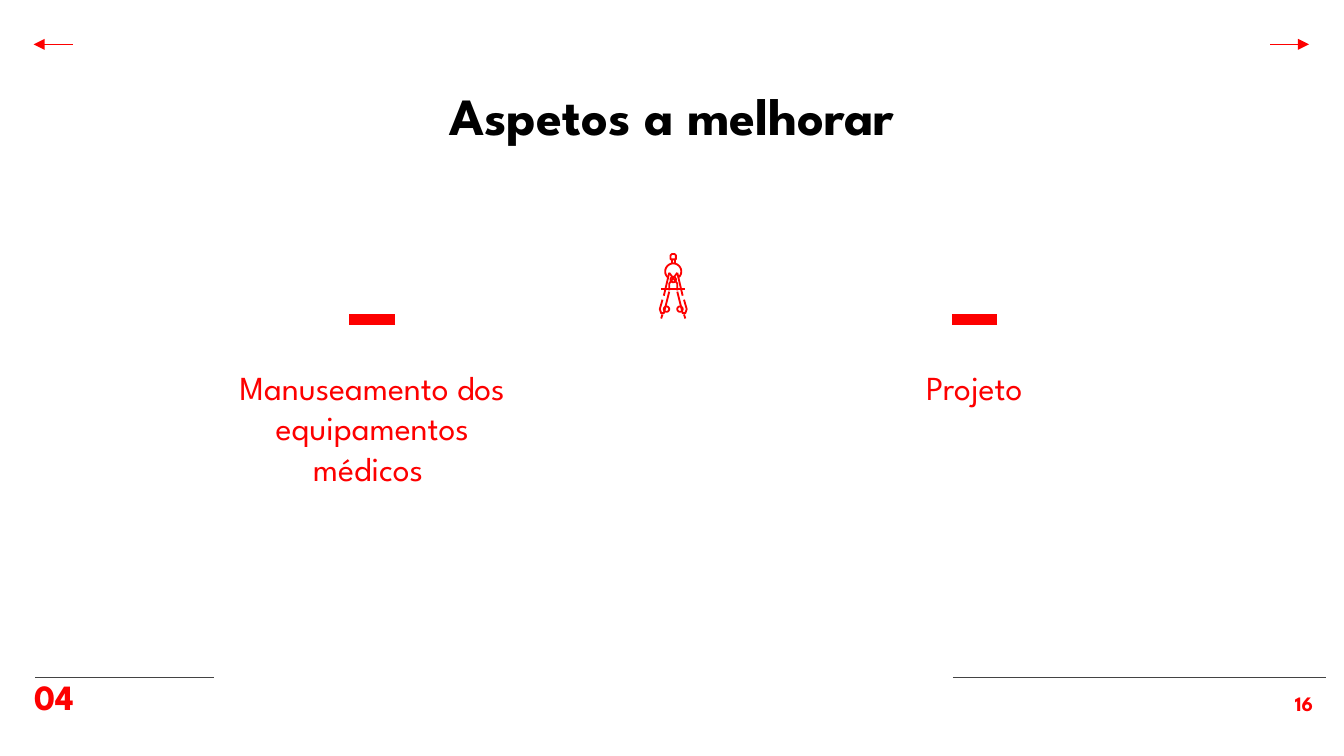
import math
import pptx
import pptx.util
import pptx.dml.color
import pptx.enum.shapes
import pptx.enum.text
import pptx.oxml
import pptx.oxml.ns
from pptx.util import Inches

RED, BLACK, GRAY = "FD0000", "000000", "434343"
FONT = "League Spartan"

TITLE = "Aspetos a melhorar"
TOPICS = [  # text, left, height
    ("Manuseamento dos equipamentos médicos ", 1.53, 1.29),
    ("Projeto", 6.01, 0.62),
]
TOPIC_TOP, TOPIC_WIDTH = 2.63, 2.48
DASH_Y, DASH_WIDTH = 2.38, 0.34
RULES = [(1.59, 0.26), (7.09, 9.87)]
RULE_Y = 5.04
ARROWS = [(9.45, 9.74), (0.54, 0.25)]
ARROW_Y = 0.33

# Drawing compass: strokes for the left half are mirrored about AXIS
AXIS = 5.01
CAP = [(4.99, 1.93), (4.99, 1.9), (5, 1.89), (5.02, 1.89),
       (5.03, 1.9), (5.03, 1.93), (4.99, 1.93)]
BAR = [(4.92, 2.15), (5.1, 2.15)]
HALF = [
    [(5, 1.93), (5, 1.96)],
    [(4.98, 2.03), (4.94, 2.2)],
    [(4.98, 2.03), (5.04, 2.11), (5.04, 2.16)],
    [(4.93, 2.23), (4.91, 2.3), (4.92, 2.33), (4.94, 2.33), (4.98, 2.17)],
    [(4.93, 2.34), (4.92, 2.37)],
]


def color(code):
    return pptx.dml.color.RGBColor.from_string(code)


def arc(x, y, r, start=0, end=360):
    """Points along a circle, angles in degrees clockwise from the right."""
    turns = [math.radians(a) for a in range(start, end + 1, 15)]
    return [(x + r * math.cos(a), y + r * math.sin(a)) for a in turns]


def place(shape, left, top, width, height):
    shape.left, shape.top = Inches(left), Inches(top)
    shape.width, shape.height = Inches(width), Inches(height)


def write(shape, text, size=18, tint=RED, bold=False, align="CENTER",
          anchor="TOP", pad=0.1):
    frame = shape.text_frame
    frame.word_wrap = True
    frame.auto_size = pptx.enum.text.MSO_AUTO_SIZE.NONE
    frame.vertical_anchor = getattr(pptx.enum.text.MSO_ANCHOR, anchor)
    frame.margin_left = frame.margin_right = Inches(0.1)
    frame.margin_top = frame.margin_bottom = Inches(pad)
    para = frame.paragraphs[0]
    para.alignment = getattr(pptx.enum.text.PP_ALIGN, align)
    para.space_before = pptx.util.Pt(0)
    run = para.add_run()
    run.text = text
    run.font.name, run.font.bold = FONT, bold
    run.font.size = pptx.util.Pt(size)
    run.font.color.rgb = color(tint)


def draw(slide, start, end, y, width=0.75, tint=RED, arrow=False):
    """Add a level line, with an arrowhead at its end if asked."""
    line = slide.shapes.add_connector(
        pptx.enum.shapes.MSO_CONNECTOR.STRAIGHT,
        Inches(start), Inches(y), Inches(end), Inches(y))
    line.line.color.rgb = color(tint)
    line.line.width = pptx.util.Pt(width)
    qn = pptx.oxml.ns.qn
    props = line._element.spPr
    if arrow:
        stroke = props.find(qn("a:ln"))
        stroke.append(stroke.makeelement(qn("a:tailEnd"), {"type": "triangle"}))
    props.append(props.makeelement(qn("a:effectLst"), {}))


def compass(slide):
    flip = [[(2 * AXIS - x, y) for x, y in part] for part in HALF]
    rings = [arc(AXIS, 2.02, 0.06, -225, 45), arc(AXIS, 2.08, 0.02),
             arc(4.96, 2.3, 0.02), arc(5.06, 2.3, 0.02)]
    parts = [[(Inches(x), Inches(y)) for x, y in part]
             for part in [CAP, BAR] + HALF + flip + rings]
    pen = slide.shapes.build_freeform(*parts[0][0])
    for part in parts:
        pen.move_to(*part[0])
        pen.add_line_segments(part[1:], close=False)
    icon = pen.convert_to_shape()
    icon.shadow.inherit = False
    icon.fill.background()
    icon.line.color.rgb = color(RED)
    icon.line.width = pptx.util.Pt(1)


def main():
    deck = pptx.Presentation()
    deck.slide_width = Inches(10)
    deck.slide_height = deck.slide_width * 9 // 16
    slide = deck.slides.add_slide(deck.slide_layouts[0])

    def box():
        return slide.shapes.add_textbox(0, 0, 0, 0)

    for start, end in RULES:
        draw(slide, start, end, RULE_Y, tint=GRAY)
    for start, end in ARROWS:
        draw(slide, start, end, ARROW_Y, arrow=True)

    title = slide.shapes.title
    place(title, 1.61, 0.52, 6.78, 0.63)
    write(title, TITLE, size=28, tint=BLACK, bold=True)

    labels = [slide.placeholders[1], box()]
    for label, (text, left, height) in zip(labels, TOPICS):
        place(label, left, TOPIC_TOP, TOPIC_WIDTH, height)
        write(label, text)
        start = left + (TOPIC_WIDTH - DASH_WIDTH) / 2
        draw(slide, start + DASH_WIDTH, start, DASH_Y, width=6)

    compass(slide)

    part = box()
    place(part, 0.16, 5.16, 1.85, 0.18)
    write(part, "04", size=19, bold=True, align="LEFT", anchor="BOTTOM", pad=0)
    page = box()
    place(page, 9.23, 5.04, 0.64, 0.43)
    write(page, "16", size=11, bold=True, align="RIGHT")

    deck.save("out.pptx")


if __name__ == "__main__":
    main()
